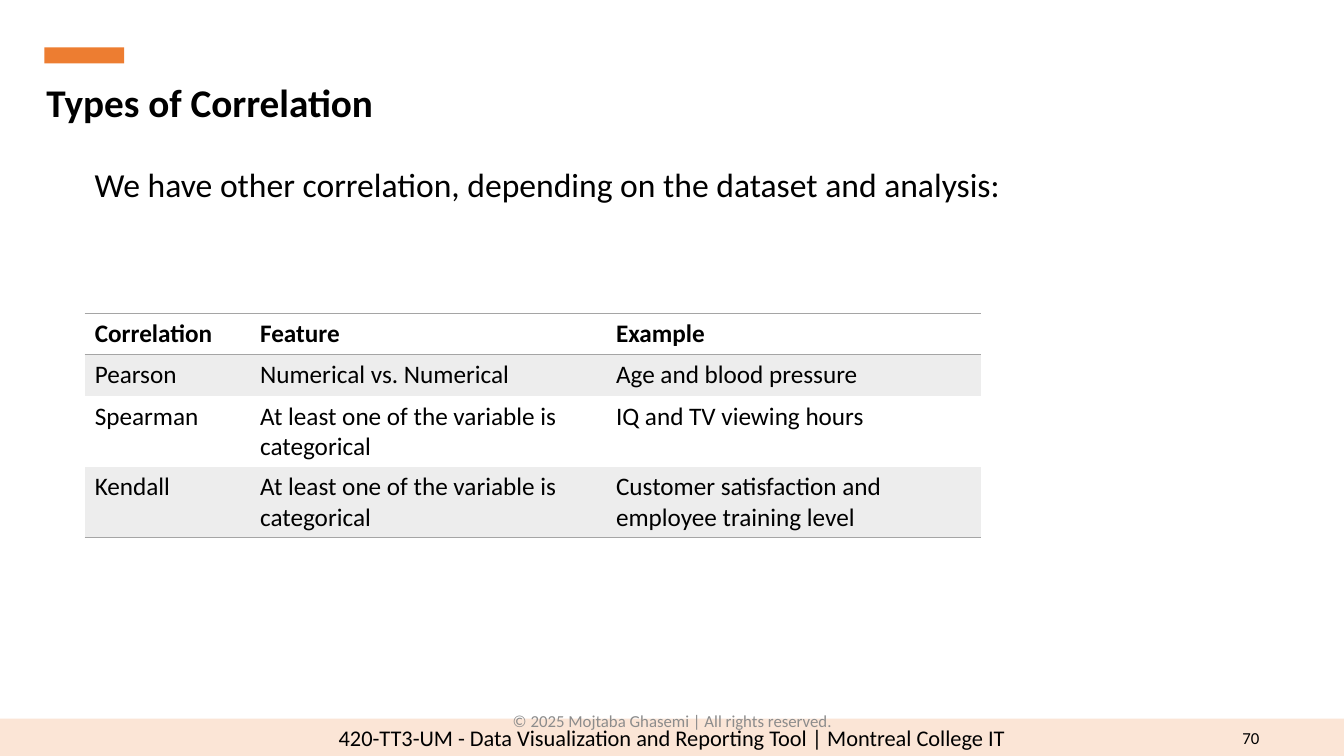
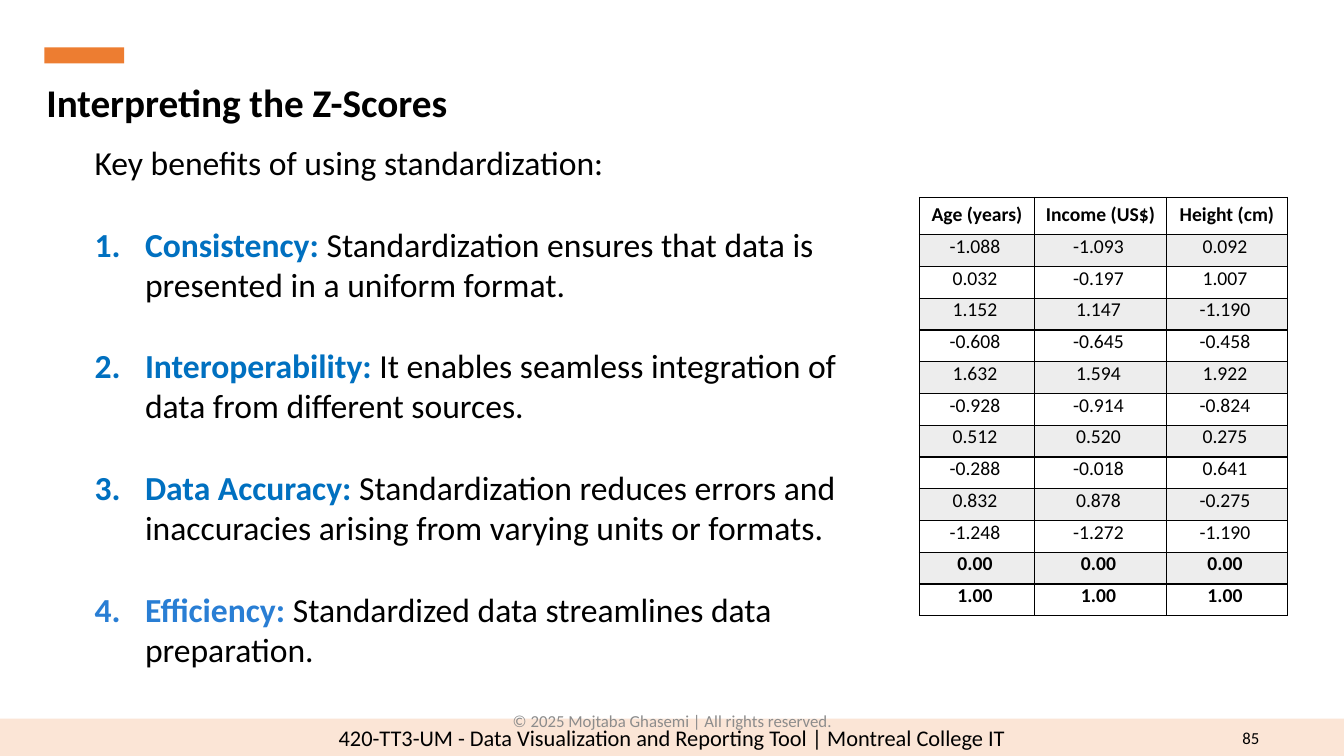
import pptx
import pptx.util
import pptx.dml.color
import pptx.enum.shapes
import pptx.enum.text
import pptx.oxml
import pptx.oxml.ns

Inches = pptx.util.Inches
Pt = pptx.util.Pt
RGBColor = pptx.dml.color.RGBColor
ALIGN = pptx.enum.text.PP_ALIGN
ANCHOR = pptx.enum.text.MSO_ANCHOR

FONT = "Calibri"
BLACK = RGBColor(0x00, 0x00, 0x00)
ORANGE = RGBColor(0xED, 0x7D, 0x31)
PEACH = RGBColor(0xFB, 0xE5, 0xD6)
BLUE = RGBColor(0x00, 0x70, 0xC0)
LIGHT_BLUE = RGBColor(0x29, 0x7E, 0xD4)
COPYRIGHT_GREY = RGBColor(0x8C, 0x8C, 0x8C)
RULE_GREY = RGBColor(0xA5, 0xA5, 0xA5)
BAND_GREY = RGBColor(0xED, 0xED, 0xED)

COURSE = "420-TT3-UM - Data Visualization and Reporting Tool | Montreal College IT"
COPYRIGHT = "© 2025 Mojtaba Ghasemi | All rights reserved."

CORRELATIONS = [
    ("Correlation", "Feature", "Example"),
    ("Pearson", "Numerical vs. Numerical", "Age and blood pressure"),
    ("Spearman", "At least one of the variable is categorical", "IQ and TV viewing hours"),
    ("Kendall", "At least one of the variable is categorical",
     "Customer satisfaction and employee training level"),
]

BENEFITS = [
    ("Consistency: ", "Standardization ensures that data is presented in a uniform format.", BLUE),
    ("Interoperability: ", "It enables seamless integration of data from different sources.", BLUE),
    ("Data Accuracy: ",
     "Standardization reduces errors and inaccuracies arising from varying units or formats.", BLUE),
    ("Efficiency: ", "Standardized data streamlines data preparation.", LIGHT_BLUE),
]

Z_SCORES = [
    ("Age (years)", "Income (US$)", "Height (cm)"),
    ("-1.088", "-1.093", "0.092"),
    ("0.032", "-0.197", "1.007"),
    ("1.152", "1.147", "-1.190"),
    ("-0.608", "-0.645", "-0.458"),
    ("1.632", "1.594", "1.922"),
    ("-0.928", "-0.914", "-0.824"),
    ("0.512", "0.520", "0.275"),
    ("-0.288", "-0.018", "0.641"),
    ("0.832", "0.878", "-0.275"),
    ("-1.248", "-1.272", "-1.190"),
    ("0.00", "0.00", "0.00"),
    ("1.00", "1.00", "1.00"),
]


def add_run(p, text, size, color=BLACK, bold=False):
    r = p.add_run()
    r.text = text
    r.font.name = FONT
    r.font.size = Pt(size)
    r.font.bold = bold
    r.font.color.rgb = color


def add_bar(slide, left, top, width, height, color):
    sp = slide.shapes.add_shape(pptx.enum.shapes.MSO_SHAPE.RECTANGLE, Inches(left),
                                Inches(top), Inches(width), Inches(height))
    sp.shadow.inherit = False
    sp.fill.solid()
    sp.fill.fore_color.rgb = color
    sp.line.fill.background()
    return sp


def add_text(slide, box, text, size, color=BLACK, align=ALIGN.LEFT, anchor=ANCHOR.TOP):
    tf = slide.shapes.add_textbox(*map(Inches, box)).text_frame
    tf.word_wrap = True
    tf.vertical_anchor = anchor
    p = tf.paragraphs[0]
    p.alignment = align
    add_run(p, text, size, color)
    return tf


def add_numbered(tf, label, text, color):
    p = tf.add_paragraph()
    pPr = p._p.get_or_add_pPr()
    pPr.set("marL", str(Inches(0.5)))
    pPr.set("indent", str(-Inches(0.5)))
    ns = pptx.oxml.ns.nsdecls("a")
    pPr.append(pptx.oxml.parse_xml(f'<a:buClr {ns}><a:srgbClr val="{color}"/></a:buClr>'))
    pPr.append(pptx.oxml.parse_xml(f'<a:buAutoNum {ns} type="arabicPeriod"/>'))
    p.space_before = Pt(29.3)
    add_run(p, label, 24, color, True)
    add_run(p, text, 24)


def set_borders(cell, sides, color):
    tcPr = cell._tc.get_or_add_tcPr()
    ns = pptx.oxml.ns.nsdecls("a")
    for side in "LRTB":
        paint = (f'<a:solidFill><a:srgbClr val="{color}"/></a:solidFill>'
                 if side in sides else "<a:noFill/>")
        tcPr.append(pptx.oxml.parse_xml(f'<a:ln{side} {ns} w="{Pt(1)}">{paint}</a:ln{side}>'))


def add_banded_table(slide, left, top, widths, heights, rows, size, sides_of_row,
                     rule_color, bold_rows, align=ALIGN.LEFT):
    table = slide.shapes.add_table(len(rows), len(widths), Inches(left), Inches(top),
                                   Inches(sum(widths)), Inches(sum(heights))).table
    table.first_row = table.horz_banding = False
    for column, width in zip(table.columns, widths):
        column.width = Inches(width)
    for i, (values, height) in enumerate(zip(rows, heights)):
        table.rows[i].height = Inches(height)
        for j, value in enumerate(values):
            cell = table.cell(i, j)
            set_borders(cell, sides_of_row(i), rule_color)
            if i % 2:
                cell.fill.solid()
                cell.fill.fore_color.rgb = BAND_GREY
            else:
                cell.fill.background()
            p = cell.text_frame.paragraphs[0]
            p.alignment = align
            add_run(p, value, size, bold=i in bold_rows)
    return table


def add_base_slide(prs, title, number):
    slide = prs.slides.add_slide(prs.slide_layouts[5])
    band = add_bar(slide, 0, 7.13, 13.33, 0.37, PEACH)
    band.text_frame.vertical_anchor = ANCHOR.MIDDLE
    p = band.text_frame.paragraphs[0]
    p.alignment = ALIGN.CENTER
    add_run(p, COURSE, 16)
    add_text(slide, (12.21, 7.12, 0.38, 0.4), number, 12,
             align=ALIGN.RIGHT, anchor=ANCHOR.MIDDLE)
    add_bar(slide, 0.44, 0.47, 0.79, 0.16, ORANGE)

    sp = slide.shapes.title
    sp.left, sp.top, sp.width, sp.height = map(Inches, (0.36, 0.73, 11.45, 0.57))
    tf = sp.text_frame
    tf.auto_size = pptx.enum.text.MSO_AUTO_SIZE.NONE
    tf.vertical_anchor = ANCHOR.TOP
    p = tf.paragraphs[0]
    p.alignment = ALIGN.LEFT
    add_run(p, title, 28, bold=True)
    return slide


def add_copyright(slide):
    add_text(slide, (4.42, 6.95, 4.5, 0.4), COPYRIGHT, 12, COPYRIGHT_GREY,
             ALIGN.CENTER, ANCHOR.MIDDLE)


def build_correlation(prs):
    slide = add_base_slide(prs, "Types of Correlation", "70")
    add_text(slide, (0.84, 1.58, 9.35, 0.5),
             "We have other correlation, depending on the dataset and analysis:", 24)
    rules = {0: "TB", 1: "T", len(CORRELATIONS) - 1: "B"}
    add_banded_table(slide, 0.84, 3.11, (1.64, 3.53, 3.72), (0.41, 0.41, 0.7, 0.7),
                     CORRELATIONS, 18, lambda i: rules.get(i, ""), RULE_GREY, {0})
    add_copyright(slide)


def build_z_scores(prs):
    slide = add_base_slide(prs, "Interpreting the Z-Scores", "85")
    tf = add_text(slide, (0.84, 1.36, 7.66, 5.35), "Key benefits of using standardization:", 24)
    for label, text, color in BENEFITS:
        add_numbered(tf, label, text, color)
    count = len(Z_SCORES) - 1
    header = 0.37
    heights = [header] + [(4.15 - header) / count] * count
    table = add_banded_table(slide, 9.12, 1.96, (1.14, 1.31, 1.2), heights, Z_SCORES, 14,
                             lambda i: "LRTB", BLACK, {0, count - 1, count}, ALIGN.CENTER)
    for i in range(1, count + 1):
        for cell in table.rows[i].cells:
            cell.margin_left = Inches(0.05)
            cell.margin_right = Inches(0.09)
            cell.margin_top = cell.margin_bottom = 0
    add_copyright(slide)


def main():
    prs = pptx.Presentation()
    prs.slide_width = Inches(13.33)
    prs.slide_height = Inches(7.5)
    build_correlation(prs)
    build_z_scores(prs)
    prs.save("out.pptx")


if __name__ == "__main__":
    main()
